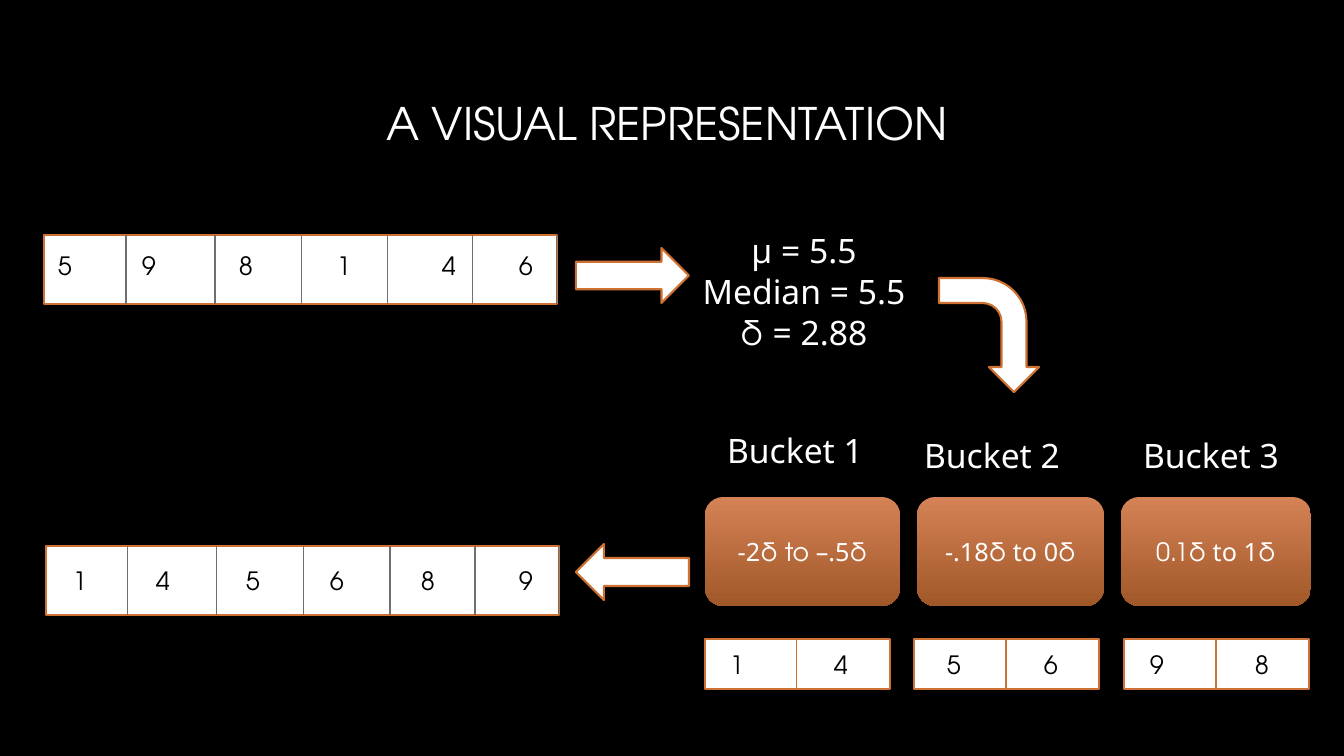
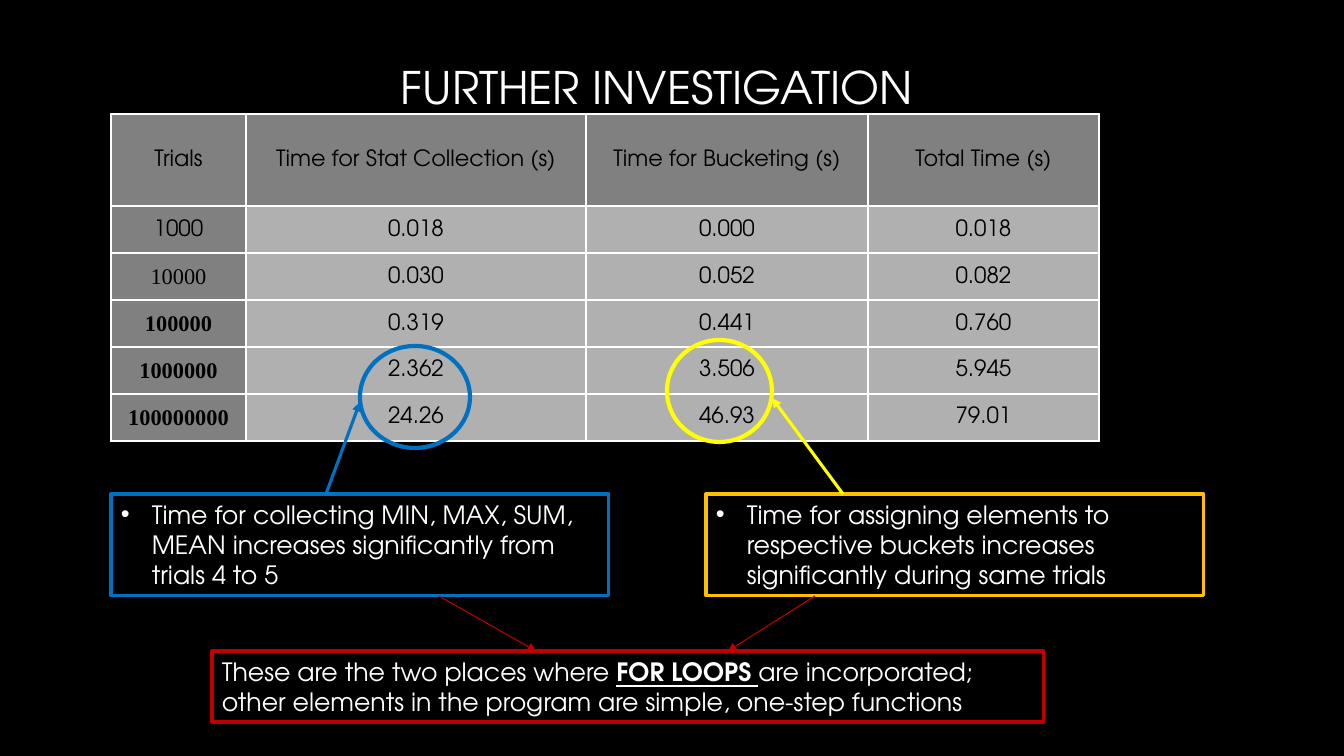
from lxml.etree import SubElement
from pptx import Presentation
from pptx.dml.color import RGBColor
from pptx.enum.shapes import MSO_CONNECTOR, MSO_SHAPE
from pptx.enum.text import MSO_ANCHOR, PP_ALIGN
from pptx.oxml.ns import qn
from pptx.util import Pt

PX = 9072
COLORS = {
    "black": "000000", "white": "FFFFFF", "orange": "CF7133", "divider": "6F6F6F",
    "bucket_top": "D48256", "bucket_bottom": "A15828", "header": "808080", "body": "B0B0B0",
    "blue": "0070C0", "gold": "FFC000", "yellow": "FFFF00", "red": "C00000",
}
RGB = {name: RGBColor.from_string(value) for name, value in COLORS.items()}
GEOMETRIC, HUMANIST, SERIF = "TeX Gyre Adventor", "Noto Sans", "Times New Roman"
TITLE = {"name": GEOMETRIC, "size": Pt(32)}
LABEL = {"name": HUMANIST, "size": Pt(24)}
BODY = {"name": GEOMETRIC, "size": Pt(18)}
CELL = {"name": GEOMETRIC, "size": Pt(16)}
SANS = {"name": HUMANIST}
MARGINS = ("margin_left", "margin_top", "margin_right", "margin_bottom")


def draw(slide, geometry, box, line=None, fill=None, weight=1.5):
    shape = slide.shapes.add_shape(geometry, *[value * PX for value in box])
    shape.shadow.inherit = False
    if fill:
        shape.fill.solid()
        shape.fill.fore_color.rgb = RGB[fill]
    else:
        shape.fill.background()
    if line:
        shape.line.color.rgb = RGB[line]
        shape.line.width = Pt(weight)
    else:
        shape.line.fill.background()
    return shape


def write(frame, paragraphs, style, color="white", align=PP_ALIGN.CENTER, anchor=MSO_ANCHOR.MIDDLE):
    frame.word_wrap = True
    frame.vertical_anchor = anchor
    for index, runs in enumerate(paragraphs):
        paragraph = frame.add_paragraph() if index else frame.paragraphs[0]
        paragraph.alignment = align
        for text, changes in runs:
            run = paragraph.add_run()
            run.text = text
            run.font.color.rgb = RGB[color]
            for attribute, value in {**style, **changes}.items():
                setattr(run.font, attribute, value)


prs = Presentation()
prs.slide_width, prs.slide_height = 1344 * PX, 756 * PX
overview, timing = [prs.slides.add_slide(prs.slide_layouts[6]) for _ in range(2)]
for slide in (overview, timing):
    slide.background.fill.solid()
    slide.background.fill.fore_color.rgb = RGB["black"]

texts = [
    (overview, (121, 18, 1092, 210), "A VISUAL REPRESENTATION", TITLE, "white"),
    (timing, (111, 29, 1092, 116), "FURTHER INVESTIGATION", TITLE, "white"),
]
lines = []

arrays = [
    ((44, 235, 513, 69), 265, (126, 215, 302, 388, 473, 557), "divider",
     {"5": 65, "9": 149, "8": 246, "1": 344, "4": 449, "6": 526}),
    ((46, 546, 513, 69), 580, (128, 217, 304, 390, 475, 559), "divider",
     {"1": 80, "4": 163, "5": 253, "6": 337, "8": 428, "9": 526}),
    ((705, 639, 185, 50), 664, (797,), "orange", {"1": 737, "4": 841}),
    ((914, 639, 185, 50), 664, (1006,), "orange", {"5": 954, "6": 1051}),
    ((1124, 639, 185, 50), 664, (1216,), "orange", {"9": 1157, "8": 1262}),
]
for box, middle, dividers, color, numbers in arrays:
    draw(overview, MSO_SHAPE.RECTANGLE, box, "orange", "white")
    top, bottom = box[1], box[1] + box[3]
    for x in dividers:
        lines.append((overview, (x, top, x, bottom), color, 0.75, False))
    for number, center in numbers.items():
        texts.append((overview, (center - 20, middle - 20, 40, 40), number, BODY, "black"))

for geometry, box, turn in [
    (MSO_SHAPE.RIGHT_ARROW, (576, 248, 113, 55), 0),
    (MSO_SHAPE.BENT_ARROW, (932, 285, 114, 100), 90),
    (MSO_SHAPE.LEFT_ARROW, (576, 544, 113, 56), 0),
]:
    draw(overview, geometry, box, "orange", "white").rotation = turn

statistics = overview.shapes.add_textbox(694 * PX, 230 * PX, 220 * PX, 122 * PX).text_frame
for margin in MARGINS:
    setattr(statistics, margin, 0)
write(statistics, [
    [("µ = 5.5", {})],
    [("Median = 5.5", {})],
    [("δ", {"name": GEOMETRIC}), (" = 2.88", {})],
], LABEL)
for paragraph in statistics.paragraphs:
    paragraph.line_spacing = Pt(29)

buckets = [
    (705, 195, "Bucket 1", 795, 450, [("-2", SANS), ("δ to", {}), (" –.5", SANS), ("δ", {})]),
    (917, 187, "Bucket 2", 992, 455, [("-.18", SANS), ("δ", {}), (" to 0", SANS), ("δ", {})]),
    (1121, 190, "Bucket 3", 1211, 455, [("0.1δ", {}), (" to 1", SANS), ("δ", {})]),
]
for left, width, label, center, middle, limits in buckets:
    bucket = draw(overview, MSO_SHAPE.ROUNDED_RECTANGLE, (left, 497, width, 109))
    bucket.fill.gradient()
    bucket.fill.gradient_angle = 270
    for stop, color in zip(bucket.fill.gradient_stops, ("bucket_top", "bucket_bottom")):
        stop.color.rgb = RGB[color]
    write(bucket.text_frame, [limits], BODY)
    texts.append((overview, (center - 90, middle - 25, 180, 50), label, LABEL, "white"))

rows = [
    ("Trials", "Time for Stat Collection (s)", "Time for Bucketing (s)", "Total Time (s)"),
    ("1000", "0.018", "0.000", "0.018"),
    ("10000", "0.030", "0.052", "0.082"),
    ("100000", "0.319", "0.441", "0.760"),
    ("1000000", "2.362", "3.506", "5.945"),
    ("100000000", "24.26", "46.93", "79.01"),
]
widths, heights = (135, 340, 282, 231), (92, 47, 47, 47, 47, 47)
trials = timing.shapes.add_table(
    len(rows), len(widths), 111 * PX, 114 * PX, sum(widths) * PX, sum(heights) * PX).table
trials.first_row = trials.horz_banding = False
for column, width in zip(trials.columns, widths):
    column.width = width * PX
for r, (values, height) in enumerate(zip(rows, heights)):
    trials.rows[r].height = height * PX
    for c, value in enumerate(values):
        cell = trials.cell(r, c)
        for margin in MARGINS:
            setattr(cell, margin, PX)
        cell.margin_bottom = 0
        changes = {"name": SERIF, "bold": r > 2} if c == 0 and r > 1 else {"bold": False}
        write(cell.text_frame, [[(value, changes)]], CELL, "black")
        cell.vertical_anchor = MSO_ANCHOR.MIDDLE
        properties = cell._tc.get_or_add_tcPr()
        for side in ("a:lnL", "a:lnR", "a:lnT", "a:lnB"):
            border = SubElement(properties, qn(side), w=str(Pt(1)))
            SubElement(SubElement(border, qn("a:solidFill")), qn("a:srgbClr"), val=COLORS["white"])
        cell.fill.solid()
        cell.fill.fore_color.rgb = RGB["header" if r == 0 or c == 0 else "body"]

notes = [
    ((111, 494, 498, 102), "blue", True, [
        ("Time for collecting MIN, MAX, SUM, MEAN increases significantly from trials 4 to 5", {})]),
    ((706, 494, 498, 102), "gold", True, [
        ("Time for assigning elements to respective buckets increases significantly during same trials", {})]),
    ((212, 651, 832, 71), "red", False, [
        ("These are the two places where ", {}),
        ("FOR LOOPS ", {"bold": True, "underline": True}),
        ("are incorporated; other elements in the program are simple, one-step functions", {})]),
]
for box, color, bulleted, runs in notes:
    note = draw(timing, MSO_SHAPE.RECTANGLE, box, color, weight=2.25)
    write(note.text_frame, [runs], BODY, align=PP_ALIGN.LEFT, anchor=MSO_ANCHOR.TOP)
    if bulleted:
        properties = note.text_frame.paragraphs[0]._p.get_or_add_pPr()
        properties.set("marL", str(31 * PX))
        properties.set("indent", str(-31 * PX))
        SubElement(properties, qn("a:buFont"), typeface="Arial")
        SubElement(properties, qn("a:buChar"), char="•")

for box, color in [((360, 346, 110, 102), "blue"), ((667, 340, 105, 102), "yellow")]:
    draw(timing, MSO_SHAPE.OVAL, box, color, weight=3)

lines += [
    (timing, (326, 494, 360, 402), "blue", 2.25, True),
    (timing, (843, 494, 772, 398), "yellow", 2.25, True),
    (timing, (439, 596, 536, 651), "red", 0.75, True),
    (timing, (815, 596, 728, 651), "red", 0.75, True),
]
for slide, ends, color, weight, arrow in lines:
    connector = slide.shapes.add_connector(MSO_CONNECTOR.STRAIGHT, *[value * PX for value in ends])
    connector.line.color.rgb = RGB[color]
    connector.line.width = Pt(weight)
    properties = connector._element.spPr
    if arrow:
        SubElement(properties.find(qn("a:ln")), qn("a:tailEnd"), type="triangle")
    SubElement(properties, qn("a:effectLst"))

for slide, box, text, style, color in texts:
    frame = slide.shapes.add_textbox(*[value * PX for value in box]).text_frame
    for margin in MARGINS:
        setattr(frame, margin, 0)
    write(frame, [[(text, {})]], style, color)

prs.save("out.pptx")
